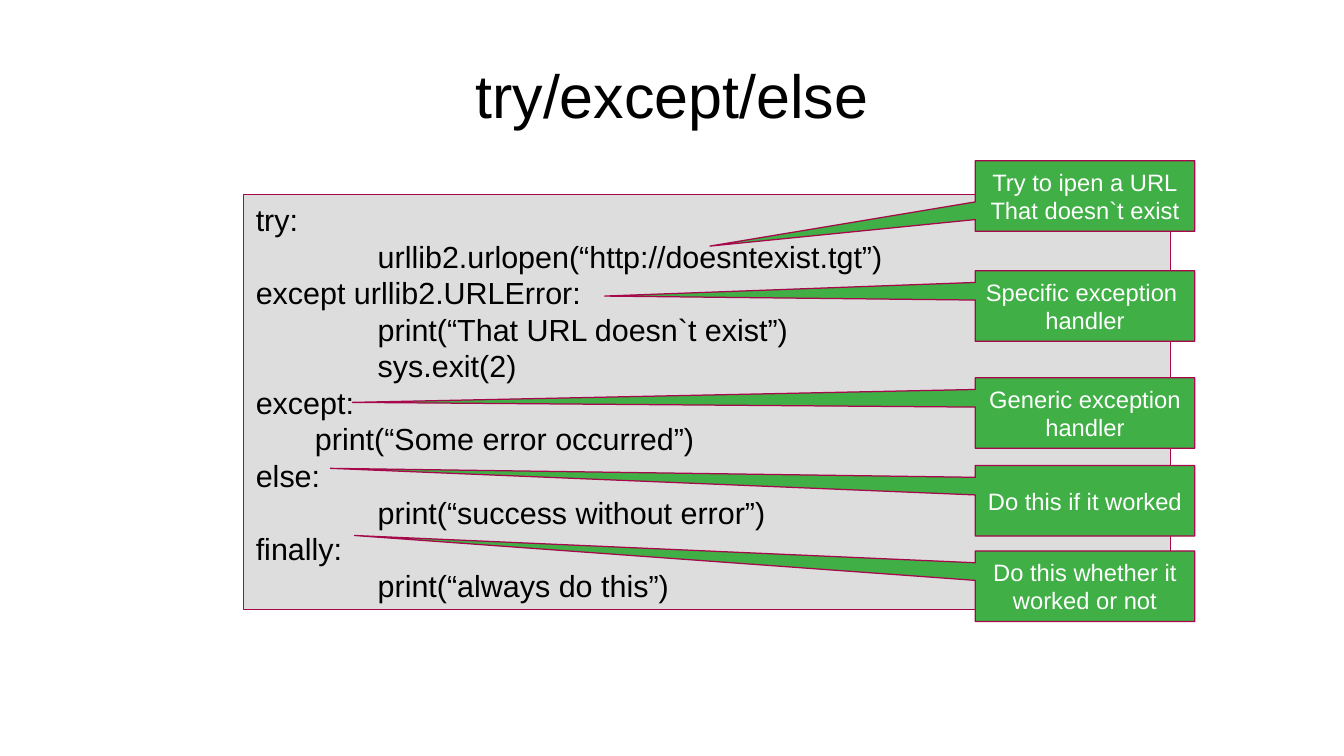
from dataclasses import dataclass

from lxml import etree
from pptx import Presentation
from pptx import util as u
from pptx.dml.color import RGBColor
from pptx.enum import shapes, text
from pptx.oxml import ns


@dataclass(frozen=True)
class Theme:
    """Fonts, sizes in points and colours of the slide."""
    font: str = "Arial"
    title_size: float = 36
    code_size: float = 18
    code_leading: float = 21.6
    note_size: float = 14
    note_leading: float = 16.6
    ink: str = "000000"
    panel: str = "DDDDDD"
    note: str = "3FAF46"
    note_ink: str = "FFFFFF"
    outline: str = "A7074B"


THEME = Theme()
TAB_STOP = u.Cm(2.54)

CODE = [
    "try:",
    "\turllib2.urlopen(“http://doesntexist.tgt”)",
    "except urllib2.URLError:",
    "\tprint(“That URL doesn`t exist”)",
    "\tsys.exit(2)",
    "except:",
    "       print(“Some error occurred”)",
    "else:",
    "\tprint(“success without error”)",
    "finally:",
    "\tprint(“always do this”)",
]

NOTES = [
    (3.35, (-1.71, 0.71), ["Try to ipen a URL", "That doesn`t exist"]),
    (5.64, (-2.19, -0.14), ["Specific exception ", "handler"]),
    (7.87, (-3.34, -0.15), ["Generic exception", "handler"]),
    (9.7, (-3.44, -0.46), ["Do this if it worked"]),
    (11.48, (-3.33, -0.72), ["Do this whether it", "worked or not"]),
]


def add_tab_stop(paragraph):
    """Set one left tab stop for the indented code lines."""
    tabs = etree.SubElement(paragraph._p.get_or_add_pPr(), ns.qn("a:tabLst"))
    etree.SubElement(tabs, ns.qn("a:tab"), pos=str(int(TAB_STOP)), algn="l")


def write_lines(frame, lines, size, color, alignment, leading=None):
    """Write each line as a paragraph with one run."""
    frame.vertical_anchor = text.MSO_ANCHOR.MIDDLE
    for number, line in enumerate(lines):
        paragraph = frame.add_paragraph() if number else frame.paragraphs[0]
        paragraph.alignment = alignment
        if leading:
            paragraph.line_spacing = u.Pt(leading)
        if line.startswith("\t"):
            add_tab_stop(paragraph)
        run = paragraph.add_run()
        run.text = line
        run.font.name = THEME.font
        run.font.size = u.Pt(size)
        run.font.color.rgb = RGBColor.from_string(color)


def add_box(slide, kind, box, fill):
    """Add a filled shape with a hairline outline."""
    shape = slide.shapes.add_shape(kind, *map(u.Cm, box))
    shape.shadow.inherit = False
    shape.fill.solid()
    shape.fill.fore_color.rgb = RGBColor.from_string(fill)
    shape.line.color.rgb = RGBColor.from_string(THEME.outline)
    shape.line.width = u.Pt(0)
    return shape


def add_title(slide, box, title):
    """Place the centred heading."""
    frame = slide.shapes.add_textbox(*map(u.Cm, box)).text_frame
    frame.word_wrap = True
    frame.margin_left = frame.margin_right = 0
    frame.margin_top = frame.margin_bottom = 0
    write_lines(frame, [title], THEME.title_size, THEME.ink, text.PP_ALIGN.CENTER)


def add_code_panel(slide, box, lines):
    """Place the grey panel with the code."""
    panel = add_box(slide, shapes.MSO_SHAPE.RECTANGLE, box, THEME.panel)
    panel.text_frame.word_wrap = True
    write_lines(panel.text_frame, lines, THEME.code_size, THEME.ink,
                text.PP_ALIGN.LEFT, THEME.code_leading)


def add_callout(slide, box, tip, lines):
    """Place a green note whose tip is given in box widths and heights."""
    callout = add_box(slide, shapes.MSO_SHAPE.RECTANGULAR_CALLOUT, box, THEME.note)
    callout.adjustments[0], callout.adjustments[1] = tip
    callout.text_frame.word_wrap = False
    write_lines(callout.text_frame, lines, THEME.note_size, THEME.note_ink,
                text.PP_ALIGN.CENTER, THEME.note_leading)


def main():
    """Build the slide and save it."""
    presentation = Presentation()
    presentation.slide_width = u.Cm(28)
    presentation.slide_height = u.Cm(15.75)
    slide = presentation.slides.add_slide(presentation.slide_layouts[6])
    add_title(slide, (1.4, 0.64, 25.2, 2.64), "try/except/else")
    add_code_panel(slide, (5.08, 4.06, 19.3, 8.64), CODE)
    for top, tip, lines in NOTES:
        add_callout(slide, (20.32, top, 4.57, 1.47), tip, lines)
    presentation.save("out.pptx")


if __name__ == "__main__":
    main()
